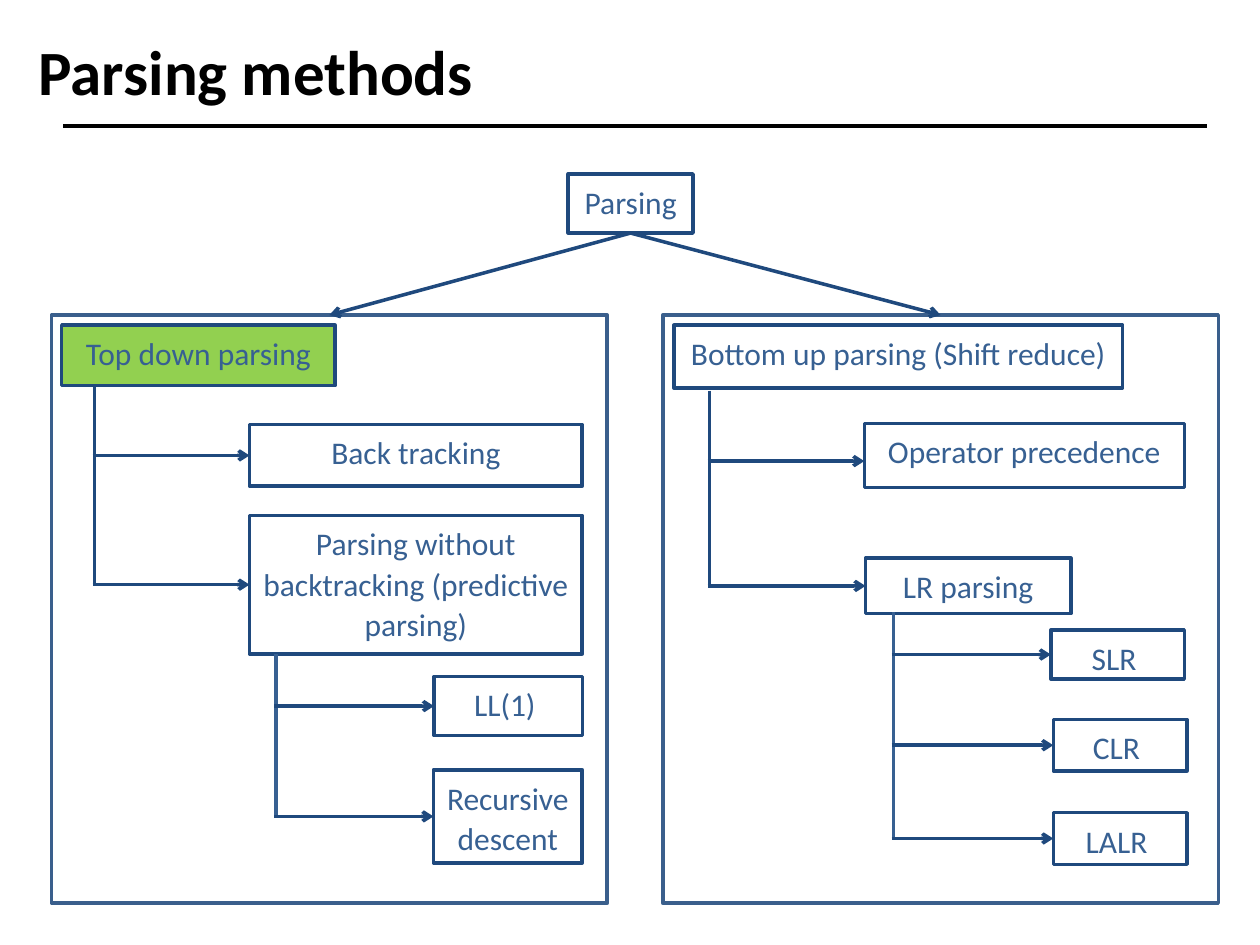
from dataclasses import dataclass
from typing import Optional

from lxml import etree
from pptx import Presentation
from pptx.dml.color import RGBColor
from pptx.enum.shapes import MSO_CONNECTOR, MSO_SHAPE
from pptx.enum.text import MSO_ANCHOR, PP_ALIGN
from pptx.oxml.ns import qn
from pptx.util import Pt

RECTANGLE = MSO_SHAPE.RECTANGLE
STRAIGHT = MSO_CONNECTOR.STRAIGHT
TOP, MIDDLE = MSO_ANCHOR.TOP, MSO_ANCHOR.MIDDLE
CENTER = PP_ALIGN.CENTER
TOP_SITE, LEFT_SITE, BOTTOM_SITE = 0, 1, 2

FONT = "Calibri"
NAVY, BLUE, PANEL_BLUE = "1F497D", "376092", "3A5F8C"
GREEN, BLACK = "92D050", "000000"


@dataclass
class Box:
    text: str
    left: float
    top: float
    width: float
    height: float
    line: str = NAVY
    fill: Optional[str] = None
    branch_y: Optional[float] = None  # arrow height when it misses the middle

    @property
    def arrow_y(self) -> float:
        return self.branch_y or self.top + self.height / 2


@dataclass
class Branch:
    trunk_x: float
    trunk_top: float
    trunk_color: str
    children: list[Box]


ROOT = Box("Parsing", 324.7, 99.4, 71.3, 33.8)
PANELS = [Box("", left, 180, 317.5, 336.2, PANEL_BLUE) for left in (29.5, 378.7)]
HEADINGS = [
    Box("Top down parsing", 35.3, 185.8, 156.2, 34.6, fill=GREEN),
    Box("Bottom up parsing (Shift reduce)", 385.2, 185.8, 256.3, 36),
]
BRANCHES = [
    Branch(54, 220.4, NAVY, [
        Box("Back tracking", 142.6, 242.6, 190.1, 35.3),
        Box("Parsing without backtracking (predictive parsing)",
            142.6, 294.5, 190.1, 79.2),
    ]),
    Branch(157.7, 373.7, BLUE, [
        Box("LL(1) ", 248, 386.6, 85, 33.8),
        Box("Recursive\n descent ", 247.7, 439.9, 85, 53.3),
    ]),
    Branch(405.4, 223.2, NAVY, [
        Box("Operator precedence", 493.9, 241.9, 182.9, 36.7, branch_y=263.5),
        Box("LR parsing", 494.6, 319, 117.4, 31.7),
    ]),
    Branch(510.5, 350, BLUE, [
        Box("SLR ", 600.5, 360, 76.3, 28.1),
        Box("CLR ", 601.9, 411.1, 76.3, 29.5),
        Box("LALR ", 601.9, 464.4, 76.3, 29.5),
    ]),
]


def color(value: str) -> RGBColor:
    return RGBColor.from_string(value)


def style_text(paragraph, size: float, value: str, bold: bool = False) -> None:
    for run in paragraph.runs:
        run.font.name = FONT
        run.font.size = Pt(size)
        run.font.bold = bold
        run.font.color.rgb = color(value)


def add_title(slide, text: str) -> None:
    shape = slide.shapes.add_textbox(Pt(15), Pt(8.6), Pt(690), Pt(63.4))
    frame = shape.text_frame
    frame.word_wrap = True
    frame.vertical_anchor = MIDDLE
    frame.text = text
    style_text(frame.paragraphs[0], 36, BLACK, bold=True)


def add_box(slide, box: Box):
    shape = slide.shapes.add_shape(
        RECTANGLE, Pt(box.left), Pt(box.top), Pt(box.width), Pt(box.height))
    shape.shadow.inherit = False
    shape.line.color.rgb = color(box.line)
    shape.line.width = Pt(2)
    if box.fill:
        shape.fill.solid()
        shape.fill.fore_color.rgb = color(box.fill)
    else:
        shape.fill.background()
    if box.text:
        frame = shape.text_frame
        frame.word_wrap = True
        frame.vertical_anchor = TOP
        frame.text = box.text
        for paragraph in frame.paragraphs:
            paragraph.alignment = CENTER
            paragraph.line_spacing = 1.07
            style_text(paragraph, 18, BLUE)
    return shape


def add_line(slide, start: tuple[float, float], end: tuple[float, float],
             value: str = NAVY, width: float = 2, arrow: bool = False):
    connector = slide.shapes.add_connector(
        STRAIGHT, Pt(start[0]), Pt(start[1]), Pt(end[0]), Pt(end[1]))
    connector.line.color.rgb = color(value)
    connector.line.width = Pt(width)
    if arrow:
        line = connector.line._get_or_add_ln()
        etree.SubElement(line, qn("a:tailEnd")).set("type", "arrow")
    etree.SubElement(connector._element.spPr, qn("a:effectLst"))
    return connector


def add_branch(slide, branch: Branch) -> None:
    """Draw a vertical trunk with an arrow to each child box."""
    trunk_end = (branch.trunk_x, branch.children[-1].arrow_y)
    add_line(slide, (branch.trunk_x, branch.trunk_top), trunk_end,
             branch.trunk_color)
    for child in branch.children:
        shape = add_box(slide, child)
        arrow = add_line(slide, (branch.trunk_x - 1, child.arrow_y),
                         (child.left, child.arrow_y), arrow=True)
        if child.branch_y is None:
            arrow.end_connect(shape, LEFT_SITE)


def main() -> None:
    presentation = Presentation()
    presentation.slide_width, presentation.slide_height = Pt(720), Pt(540)
    slide = presentation.slides.add_slide(presentation.slide_layouts[6])

    add_title(slide, "Parsing methods")
    add_line(slide, (36, 72), (690, 72), BLACK, 2.25)

    root = add_box(slide, ROOT)
    for panel, heading in zip(PANELS, HEADINGS):
        panel_shape = add_box(slide, panel)
        add_box(slide, heading)
        arrow = add_line(slide, (360, 133.2), (panel.left, panel.top), arrow=True)
        arrow.begin_connect(root, BOTTOM_SITE)
        arrow.end_connect(panel_shape, TOP_SITE)
    for branch in BRANCHES:
        add_branch(slide, branch)

    presentation.save("out.pptx")


if __name__ == "__main__":
    main()
